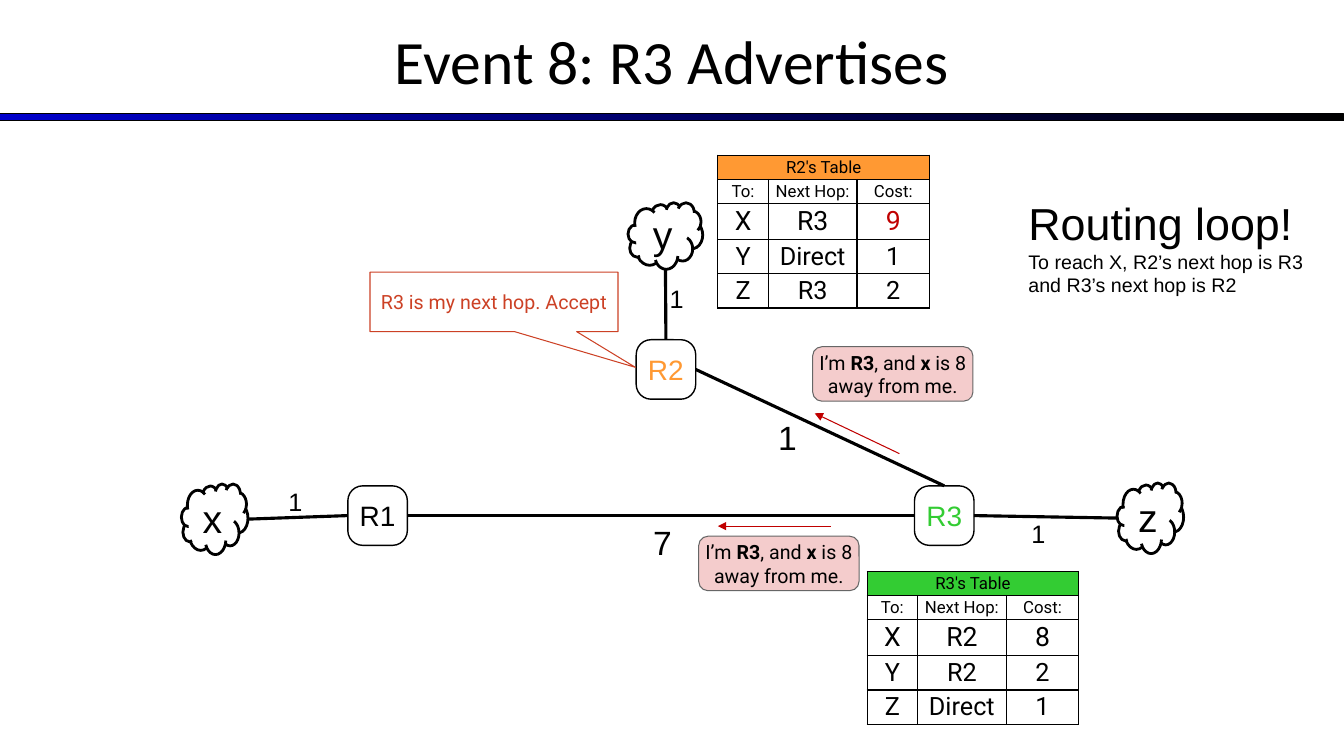
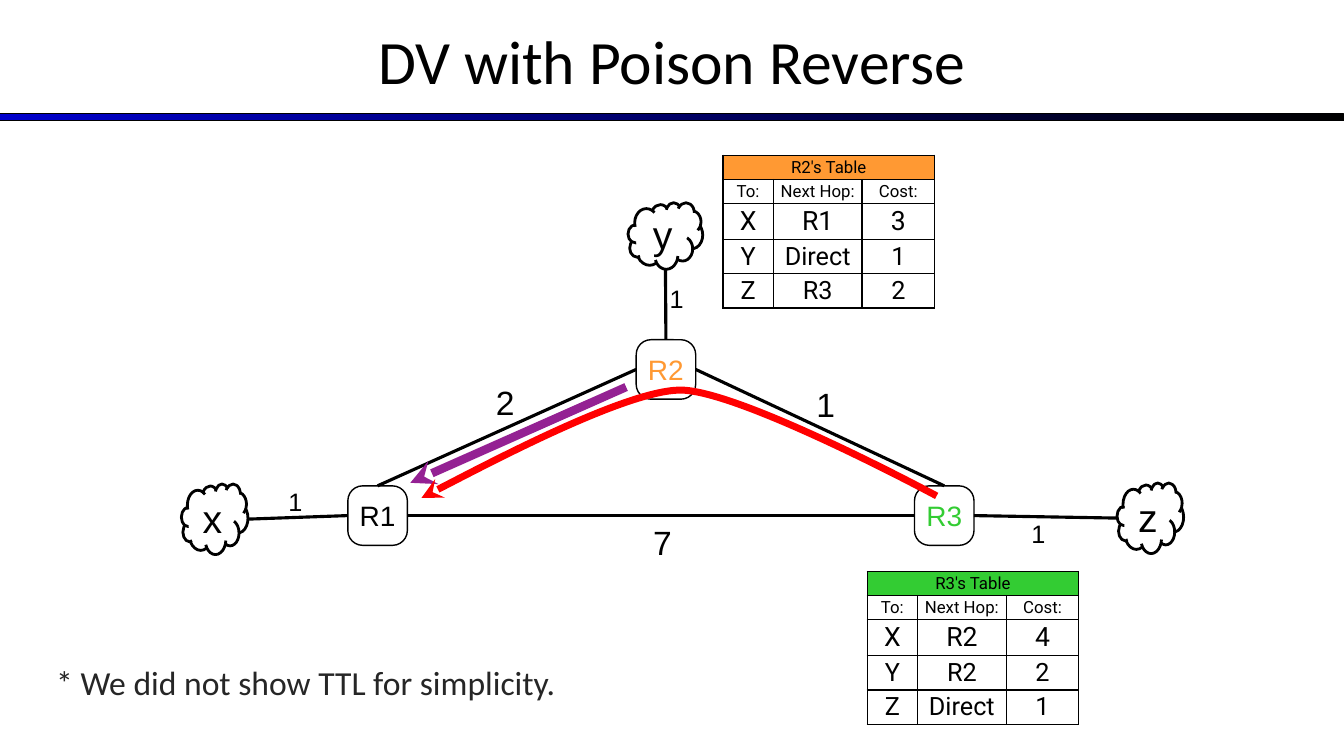
from pptx import Presentation
from pptx.dml.color import RGBColor
from pptx.enum.shapes import MSO_CONNECTOR as Link, MSO_SHAPE as Kind
from pptx.enum.text import MSO_ANCHOR as Anchor, PP_ALIGN as Align
from pptx.oxml.ns import qn
from pptx.oxml.xmlchemy import OxmlElement as Tag
from pptx.util import Pt

PX = 9144  # one px is a hundredth of an inch
WIDE, HIGH = 1333, 750
BLACK, ORANGE, GREEN = "000000", "FF9933", "33CC33"
CRIMSON, RUST, PINK, GREY = "C00000", "CC4125", "F4CCCC", "666666"
BLUE, PURPLE, RED, INK = "0000CC", "942193", "FF0000", "262626"

# name: (left, top, width, height, colour)
NODES = {
    "R1": (345, 482, 59, 59, BLACK),
    "R3": (907, 482, 59, 59, GREEN),
    "R2": (631, 337, 59, 59, ORANGE),
}
CLOUDS = {
    "x": (180, 480, 66, 70),
    "z": (1108, 479, 66, 70),
    "y": (623, 201, 74, 66),
}
LINKS = [
    ("x", "right", "R1", "left"),
    ("z", "left", "R3", "right"),
    ("R2", "top", "y", "bottom"),
    ("R3", "top", "R2", "right"),
    ("R3", "left", "R1", "right"),
]
SHORT = ("R1", "top", "R2", "left")
SIDES = {"left": (0, 0.5), "right": (1, 0.5), "top": (0.5, 0), "bottom": (0.5, 1)}
# text, centre x, centre y, size
COSTS = [("7", 657, 538, 24), ("1", 293, 497, 18), ("1", 671, 296, 18), ("1", 1030, 529, 18)]

COLS, ROWS = (50, 88, 72), (24, 24, 35, 34, 34)
HEADS = ("To:", "Next Hop:", "Cost:")
SIZES = (12, 12, 19, 18, 18)
LOOP = [("X", "R3", "9"), ("Y", "Direct", "1"), ("Z", "R3", "2")]
GOOD = [("X", "R1", "3"), ("Y", "Direct", "1"), ("Z", "R3", "2")]

ADVERT = "I’m *R3*, and *x* is 8 away from me."
ADVERTS = [  # bubble corner, arrow start, arrow end
    ((806, 344), (892, 450), (808, 410)),
    ((693, 532), (824, 522), (712, 522)),
]
CURVE = [(929, 492), (929, 492), (732, 386), (674, 387), (619, 388), (418, 494), (418, 494)]


def px(*vals):
    return [round(v * PX) for v in vals]


def rgb(code):
    return RGBColor.from_string(code)


def style(para, size, color=BLACK, face="Arial", align=Align.CENTER):
    para.alignment = align
    font = para.font
    font.name, font.size, font.color.rgb = face, Pt(size), rgb(color)


def fit(frame, side, top=None):
    """Centre the text vertically and set the insets."""
    frame.word_wrap = True
    frame.vertical_anchor = Anchor.MIDDLE
    frame.margin_left = frame.margin_right = px(side)[0]
    frame.margin_top = frame.margin_bottom = px(side if top is None else top)[0]


def write(slide, box, lines, inset=4, **look):
    """Add a text box; lines holds (text, size) pairs."""
    frame = slide.shapes.add_textbox(*px(*box)).text_frame
    fit(frame, inset)
    for i, (text, size) in enumerate(lines):
        para = frame.add_paragraph() if i else frame.paragraphs[0]
        para.text = text
        style(para, size, **look)
    return frame


def shape(slide, kind, box, line, width, fill=None, adj=()):
    item = slide.shapes.add_shape(kind, *px(*box))
    item.shadow.inherit = False
    for i, val in enumerate(adj):
        item.adjustments[i] = val
    if fill:
        item.fill.solid()
        item.fill.fore_color.rgb = rgb(fill)
    else:
        item.fill.background()
    item.line.color.rgb, item.line.width = rgb(line), Pt(width)
    return item


def label(item, text, size, inset, **look):
    """Fill a shape with text; parts between asterisks are bold."""
    fit(item.text_frame, inset)
    para = item.text_frame.paragraphs[0]
    style(para, size, **look)
    for i, part in enumerate(text.split("*")):
        run = para.add_run()
        run.text = part
        if i % 2:
            run.font.bold = True


def tip(item, kind):
    """Put an arrowhead at the end of a line."""
    tail = Tag("a:tailEnd")
    tail.set("type", kind)
    item.line._get_or_add_ln().append(tail)


def line(slide, start, end, color=BLACK, width=2.25, head=None):
    item = slide.shapes.add_connector(Link.STRAIGHT, *px(*start, *end))
    item.line.color.rgb, item.line.width = rgb(color), Pt(width)
    item._element.spPr.append(Tag("a:effectLst"))
    if head:
        tip(item, head)


def port(name, side):
    x, y, w, h = (NODES.get(name) or CLOUDS[name])[:4]
    fx, fy = SIDES[side]
    return x + w * fx, y + h * fy


def join(slide, one, out, two, into):
    line(slide, port(one, out), port(two, into))


def curve(slide, points, color, width):
    """Draw cubic Bézier pieces: a start, then three points for each piece."""
    pen = slide.shapes.build_freeform(*px(*points[0]))
    pen.add_line_segments([px(*p) for p in points[1:]], close=False)
    item = pen.convert_to_shape()
    item.shadow.inherit = False
    item.fill.background()
    item.line.color.rgb, item.line.width = rgb(color), Pt(width)
    steps = list(item._element.iter(qn("a:lnTo")))
    for i in range(0, len(steps), 3):
        bend = Tag("a:cubicBezTo")
        steps[i].addprevious(bend)
        for step in steps[i:i + 3]:
            bend.append(step[0])
            step.getparent().remove(step)
    tip(item, "stealth")


def border(cell):
    props = cell._tc.get_or_add_tcPr()
    for side in "LRTB":
        edge, fill, color = Tag(f"a:ln{side}"), Tag("a:solidFill"), Tag("a:srgbClr")
        edge.set("w", str(Pt(1)))
        color.set("val", BLACK)
        fill.append(color)
        edge.append(fill)
        props.append(edge)


def routes(slide, x, y, name, rows, hot=None):
    """Add a routing table; hot is the (row, column) of a red cell."""
    box = px(x, y, sum(COLS), sum(ROWS))
    table = slide.shapes.add_table(len(ROWS), len(COLS), *box).table
    table.first_row = table.horz_banding = False
    for col, wide in zip(table.columns, COLS):
        col.width = px(wide)[0]
    grid = [(f"{name}'s Table", "", ""), HEADS, *rows]
    for r, texts in enumerate(grid):
        table.rows[r].height = px(ROWS[r])[0]
        for c, text in enumerate(texts):
            cell = table.cell(r, c)
            border(cell)
            cell.fill.background()
            cell.vertical_anchor = Anchor.MIDDLE
            cell.margin_left = cell.margin_right = 0
            cell.margin_top = cell.margin_bottom = px(2)[0]
            cell.text = text
            color = CRIMSON if (r, c) == hot else BLACK
            style(cell.text_frame.paragraphs[0], SIZES[r], color, "Roboto")
    top = table.cell(0, 0)
    top.merge(table.cell(0, len(COLS) - 1))
    top.fill.solid()
    top.fill.fore_color.rgb = rgb(NODES[name][4])


def cost(slide, text, x, y, size):
    write(slide, (x - 17, y - 24, 34, 48), [(text, size)])


def base(deck, title):
    """Start a slide with the title, the band and the network."""
    slide = deck.slides.add_slide(deck.slide_layouts[6])
    band = shape(slide, Kind.RECTANGLE, (0, 113, WIDE, 7), BLACK, 0.75)
    band.fill.gradient()
    band.fill.gradient_angle = 0
    for stop, color, spot in zip(band.fill.gradient_stops, (BLUE, BLACK), (0, 1)):
        stop.color.rgb, stop.position = rgb(color), spot
    write(slide, (0, -3, WIDE, 125), [(title, 44)], face="Calibri")
    for name, (*box, color) in NODES.items():
        node = shape(slide, Kind.ROUNDED_RECTANGLE, box, BLACK, 1, adj=[0.25])
        label(node, name, 20, 0, color=color)
    for name, box in CLOUDS.items():
        label(shape(slide, Kind.CLOUD, box, BLACK, 2), name, 28, 5)
    for ends in LINKS:
        join(slide, *ends)
    for item in COSTS:
        cost(slide, *item)
    return slide


def loop(deck):
    slide = base(deck, "Event 8: R3 Advertises")
    cost(slide, "1", 781, 434, 24)
    routes(slide, 712, 154, "R2", LOOP, hot=(2, 2))
    routes(slide, 860, 567, "R3", [("X", "R2", "8"), ("Y", "R2", "2"), ("Z", "Direct", "1")])
    note = [("Routing loop!", 32), ("To reach X, R2’s next hop is R3 and R3’s next hop is R2", 14)]
    write(slide, (1016, 190, 284, 109), note, align=Align.LEFT)
    for spot, start, end in ADVERTS:
        line(slide, start, end, CRIMSON, 0.75, "triangle")
        bubble = shape(slide, Kind.ROUNDED_RECTANGLE, (*spot, 159, 54), GREY, 0.75, PINK, [0.17])
        label(bubble, ADVERT, 14, 3, face="Roboto")
    call = shape(slide, Kind.ROUNDED_RECTANGULAR_CALLOUT, (367, 270, 246, 59), RUST, 0.75,
                 adj=[0.57, 1.1, 0])
    label(call, "R3 is my next hop. Accept", 14, 10, color=RUST, face="Roboto")


def poison(deck):
    slide = base(deck, "DV with Poison Reverse")
    join(slide, *SHORT)
    cost(slide, "2", 501, 399, 24)
    cost(slide, "1", 819, 401, 24)
    line(slide, (621, 384), (407, 479), PURPLE, 6, "stealth")
    curve(slide, CURVE, RED, 5)
    routes(slide, 717, 154, "R2", GOOD)
    routes(slide, 860, 567, "R3", [("X", "R2", "4"), ("Y", "R2", "2"), ("Z", "Direct", "1")])
    foot = write(slide, (46, 646, 666, 67), [("* We did not show TTL for simplicity.", 24)],
                 inset=10, color=INK, face="Calibri", align=Align.LEFT)
    foot.paragraphs[0].line_spacing = 0.9


def main():
    deck = Presentation()
    deck.slide_width, deck.slide_height = px(WIDE, HIGH)
    loop(deck)
    poison(deck)
    deck.save("out.pptx")


if __name__ == "__main__":
    main()
